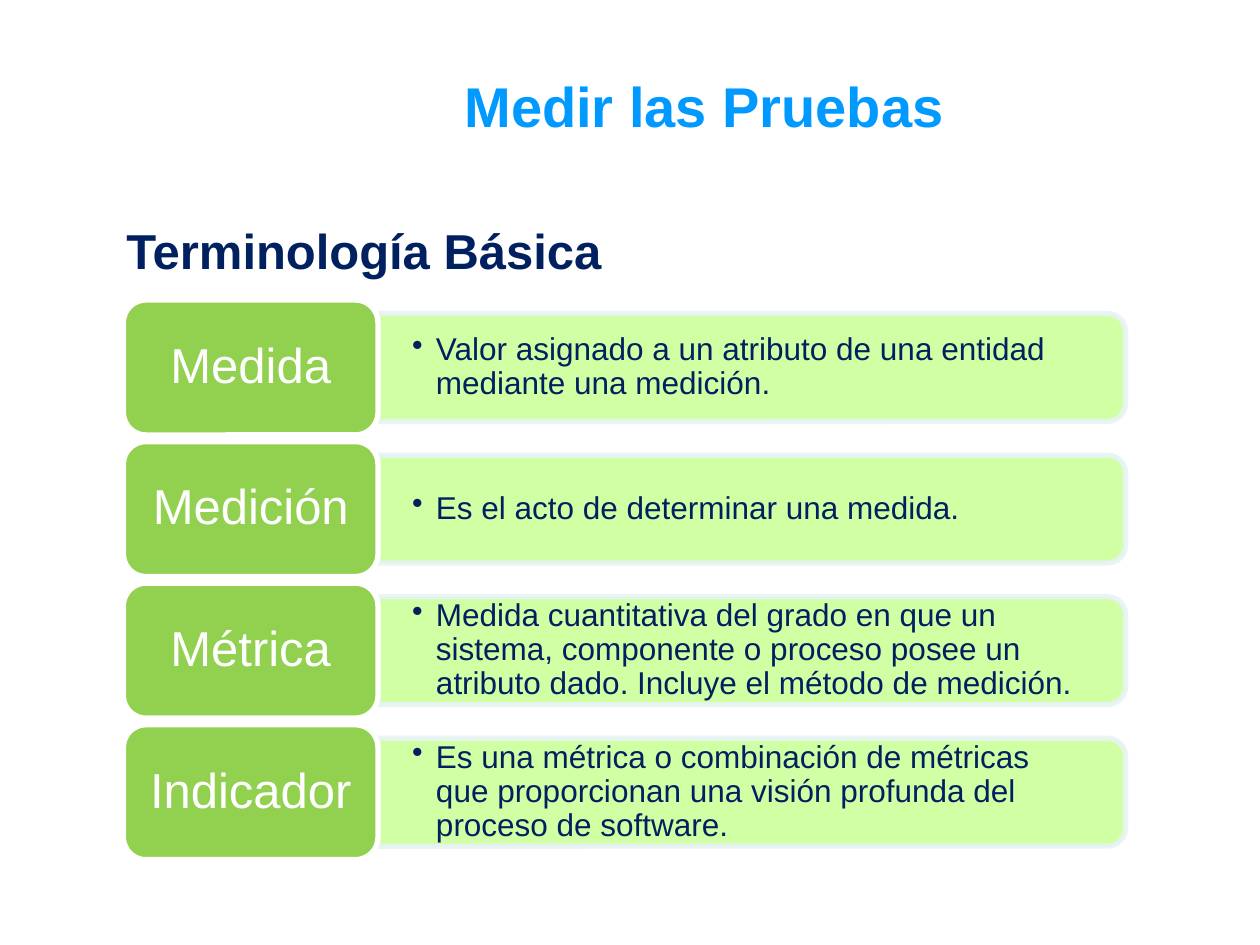
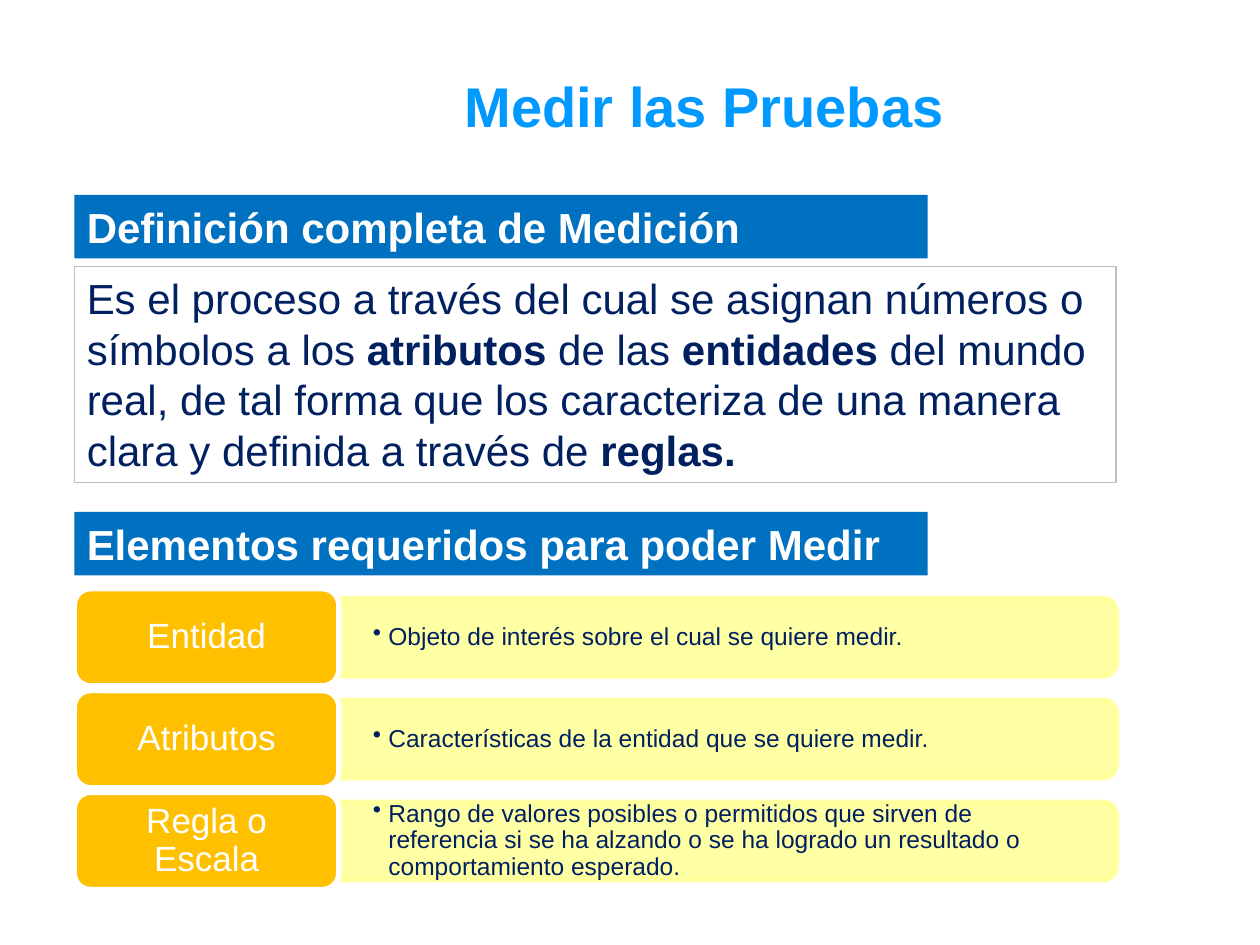
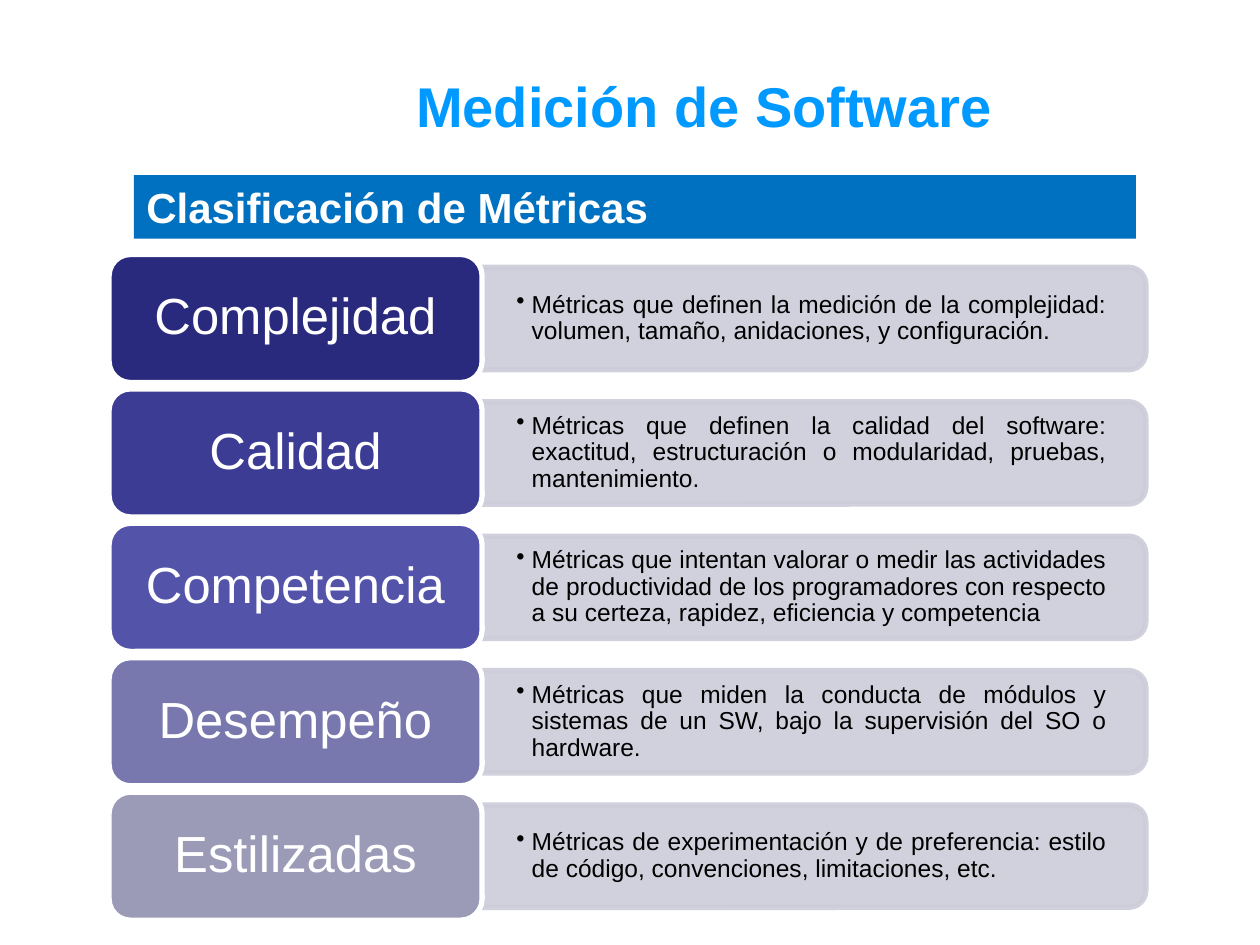
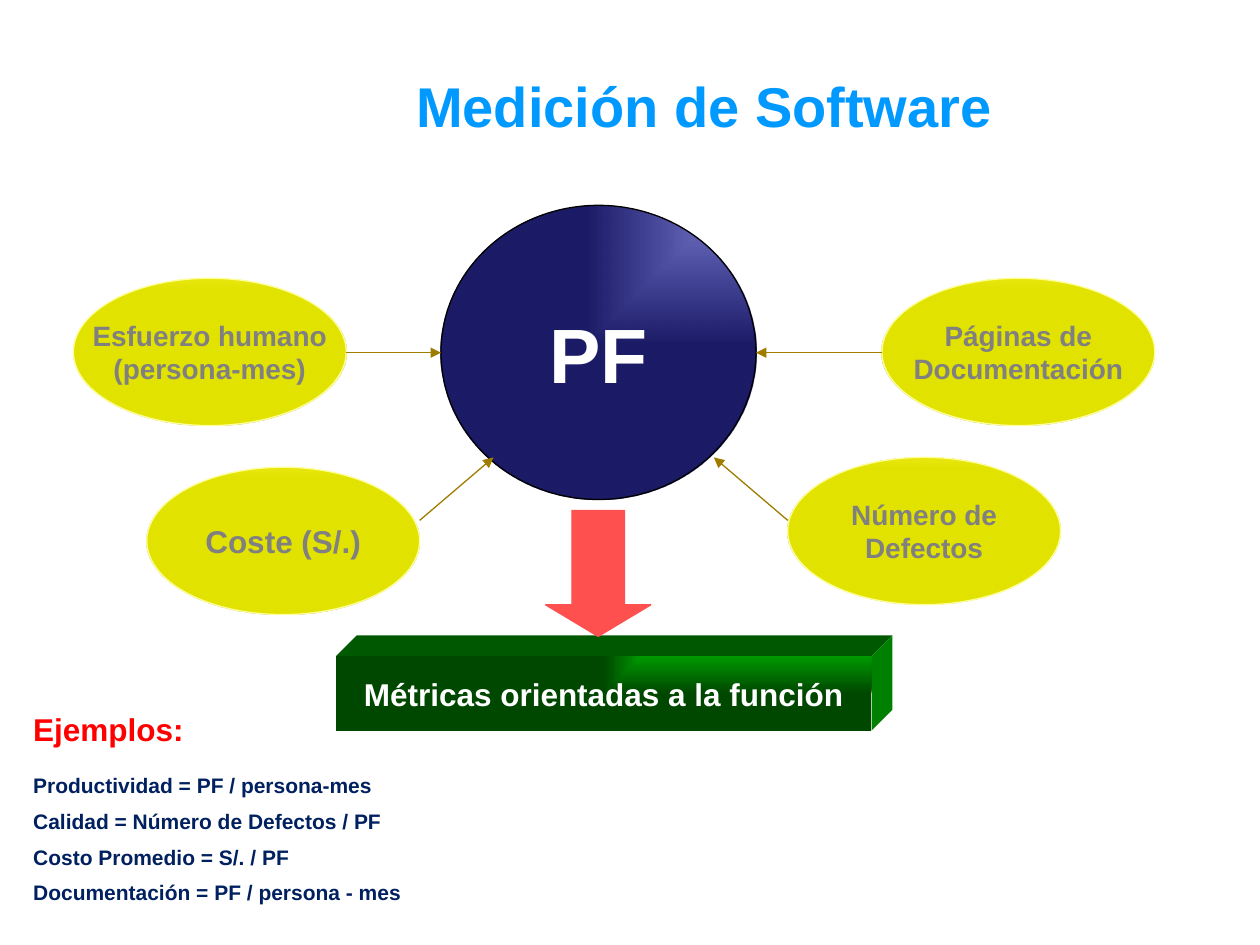
from lxml.etree import SubElement
from pptx import Presentation
from pptx.dml.color import RGBColor
from pptx.enum.shapes import MSO_CONNECTOR, MSO_SHAPE
from pptx.enum.text import MSO_ANCHOR, PP_ALIGN
from pptx.oxml import parse_xml
from pptx.oxml.ns import nsdecls, qn
from pptx.util import Cm, Pt

FONT = "Arial"
HUES = {
    "title": "0099FF", "navy": "002060", "white": "FFFFFF", "black": "000000",
    "band": "0070C0", "edge": "BFBFBF", "red": "FF0000", "gray": "808080",
    "green": "92D050", "lime": "CCFF99", "ice": "E7F3F4",
    "gold": "FFC000", "cream": "FFFF99", "mist": "CDCDDA",
    "tab1": "29297D", "tab2": "3C3C95", "tab3": "5353A9",
    "tab4": "7878AF", "tab5": "9B9BB8",
    "arrow": "9E7C00", "coral": "FF5050",
    "roof": "005900", "side": "008000",
}
# Gradient stops: position, colour, opacity (all in percent but the colour)
BLUE = [(0, "000099", 51), (100, "000055", 89)]
SUN = [(0, "FFFF00", 56), (100, "E3E300", 100)]
LEAF = [(0, "009900", 100), (100, "004700", 100)]


def rgb(name):
    return RGBColor.from_string(HUES[name])


def text(shape, paras, size=18, hue="navy", bold=False, align=PP_ALIGN.LEFT,
         anchor=MSO_ANCHOR.TOP, pad=(0.25, 0.13), wrap=True, lead=None,
         before=None, hang=0):
    """Fill a shape with paragraphs; each is a string or (string, bold) runs."""
    frame = shape.text_frame
    frame.word_wrap = wrap
    frame.vertical_anchor = anchor
    frame.margin_left = frame.margin_right = Cm(pad[0])
    frame.margin_top = frame.margin_bottom = Cm(pad[1])
    for i, runs in enumerate([paras] if isinstance(paras, str) else paras):
        para = frame.add_paragraph() if i else frame.paragraphs[0]
        para.alignment = align
        if lead:
            para.line_spacing = lead
        if before:
            para.space_before = Pt(before)
        if hang:
            props = para._p.get_or_add_pPr()
            props.set("marL", str(Cm(hang)))
            props.set("indent", str(-Cm(hang)))
            SubElement(props, qn("a:buChar")).set("char", "•")
        for words, strong in [(runs, bold)] if isinstance(runs, str) else runs:
            run = para.add_run()
            run.text = words
            run.font.name, run.font.size = FONT, Pt(size)
            run.font.bold = strong
            run.font.color.rgb = rgb(hue)
    return shape


def label(slide, box, paras, **form):
    return text(slide.shapes.add_textbox(*map(Cm, box)), paras, **form)


def paint(shape, fill=None, line=None, width=0.75):
    shape.shadow.inherit = False
    if fill:
        shape.fill.solid()
        shape.fill.fore_color.rgb = rgb(fill)
    else:
        shape.fill.background()
    if line:
        shape.line.color.rgb = rgb(line)
        shape.line.width = Pt(width)
    else:
        shape.line.fill.background()
    return shape


def form(slide, kind, box, **look):
    return paint(slide.shapes.add_shape(kind, *map(Cm, box)), **look)


def fade(shape):
    """Make the fill and line of a shape 90 % opaque."""
    for tint in shape._element.spPr.iter(qn("a:srgbClr")):
        SubElement(tint, qn("a:alpha")).set("val", "90000")


def shade(shape, stops):
    """Give a shape a gradient that spreads from its top right corner."""
    marks = "".join(
        f'<a:gs pos="{at * 1000}"><a:srgbClr val="{tint}">'
        f'<a:alpha val="{alpha * 1000}"/></a:srgbClr></a:gs>'
        for at, tint, alpha in stops)
    grad = parse_xml(
        f'<a:gradFill {nsdecls("a")} rotWithShape="1"><a:gsLst>{marks}</a:gsLst>'
        '<a:path path="rect"><a:fillToRect l="100000" b="100000"/></a:path>'
        '</a:gradFill>')
    props = shape._element.spPr
    props.replace(props.find(qn("a:solidFill")), grad)
    return shape


def arrow(slide, start, end):
    link = slide.shapes.add_connector(
        MSO_CONNECTOR.STRAIGHT, *map(Cm, start + end))
    link.line.color.rgb = rgb("arrow")
    link.line.width = Pt(0.75)
    SubElement(link.line._ln, qn("a:tailEnd")).set("type", "triangle")
    SubElement(link._element.spPr, qn("a:effectLst"))


def facet(slide, points, hue):
    first, *rest = [(Cm(x), Cm(y)) for x, y in points]
    pen = slide.shapes.build_freeform(*first)
    pen.add_line_segments(rest)
    paint(pen.convert_to_shape(), hue)


def start(deck, title):
    slide = deck.slides.add_slide(deck.slide_layouts[6])
    label(slide, (5.1, 1.32, 18.2, 1.62), title, size=32, hue="title",
          bold=True, align=PP_ALIGN.CENTER)
    return slide


def band(slide, left, top, width, words):
    text(form(slide, MSO_SHAPE.RECTANGLE, (left, top, width, 1.28), fill="band"),
         words, size=24, hue="white", bold=True)


def rows(slide, box, tab, items, tints, fill, edge, big, small, hang,
         hue="navy", align=PP_ALIGN.LEFT):
    """Stack rows of a tab and a bar; gaps are 5 % of a tab's height."""
    left, top, width, height = box
    count = len(items)
    tall = height / (count + 0.05 * (count - 1))
    thick, long, inset = 0.8 * tall, width - tab, 0.05 * tall
    for i, (name, words) in enumerate(items):
        y = top + 1.05 * tall * i
        mid = y + tall / 2
        # Bar, turned so that its round end is on the right
        bar = form(slide, MSO_SHAPE.ROUND_2_SAME_RECTANGLE,
                   (left + tab + (long - thick) / 2, mid - long / 2, thick, long),
                   fill=fill, line=edge, width=3)
        bar.rotation = 90
        fade(bar)
        label(slide, (left + tab, mid - 0.45 * thick, long - 0.1, 0.9 * thick),
              words, size=small, hue=hue, align=align, lead=0.9, hang=hang,
              anchor=MSO_ANCHOR.MIDDLE, pad=(0.69, 0.36))
        # Tab
        form(slide, MSO_SHAPE.ROUNDED_RECTANGLE, (left, y, tab, tall),
             fill=tints[i % len(tints)], line="white", width=3)
        label(slide, (left + inset, y + inset, tab - 2 * inset, tall - 2 * inset),
              name, size=big, hue="white", align=PP_ALIGN.CENTER, lead=0.9,
              anchor=MSO_ANCHOR.MIDDLE, pad=(0.011 * big, 0.0055 * big))


def terms(deck):
    slide = start(deck, "Medir las Pruebas")
    rows(slide, (2.49, 6.05, 20.2, 11.28), 5.13, [
        ("Medida", "Valor asignado a un atributo de una entidad mediante una medición."),
        ("Medición", "Es el acto de determinar una medida."),
        ("Métrica", "Medida cuantitativa del grado en que un sistema, componente o "
                    "proceso posee un atributo dado. Incluye el método de medición."),
        ("Indicador", "Es una métrica o combinación de métricas que proporcionan "
                      "una visión profunda del proceso de software."),
    ], ["green"], "lime", "ice", 28, 18, 0.48)
    label(slide, (2.3, 4.32, 20, 1.45), "Terminología Básica", size=28, bold=True)


def needs(deck):
    slide = start(deck, "Medir las Pruebas")
    # Definition
    note = form(slide, MSO_SHAPE.RECTANGLE, (1.5, 5.37, 21, 4.36), line="edge")
    text(note, [[
        ("Es el proceso a través del cual se asignan números o símbolos a los ", False),
        ("atributos", True), (" de las ", False), ("entidades", True),
        (" del mundo real, de tal forma que los caracteriza de una manera "
         "clara y definida a través de ", False), ("reglas.", True)]], size=24)
    band(slide, 1.5, 3.93, 17.2, "Definición completa de Medición")
    # Elements
    band(slide, 1.5, 10.32, 17.2, "Elementos requeridos para poder Medir")
    rows(slide, (1.5, 11.87, 21, 6.06), 5.33, [
        ("Entidad", "Objeto de interés sobre el cual se quiere medir."),
        ("Atributos", "Características de la entidad que se quiere medir."),
        ("Regla o Escala", "Rango de valores posibles o permitidos que sirven de "
                           "referencia si se ha alzando o se ha logrado un resultado "
                           "o comportamiento esperado."),
    ], ["gold"], "cream", "cream", 20, 14, 0.31)


def kinds(deck):
    slide = start(deck, "Medición de Software")
    band(slide, 2.7, 3.53, 20.2, "Clasificación de Métricas")
    rows(slide, (2.2, 5.13, 20.9, 13.42), 7.52, [
        ("Complejidad", "Métricas que definen la medición de la complejidad: "
                        "volumen, tamaño, anidaciones, y configuración."),
        ("Calidad", "Métricas que definen la calidad del software: exactitud, "
                    "estructuración o modularidad, pruebas, mantenimiento."),
        ("Competencia", "Métricas que intentan valorar o medir las actividades de "
                        "productividad de los programadores con respecto a su "
                        "certeza, rapidez, eficiencia y competencia"),
        ("Desempeño", "Métricas que miden la conducta de módulos y sistemas de un "
                      "SW, bajo la supervisión del SO o hardware."),
        ("Estilizadas", "Métricas de experimentación y de preferencia: estilo de "
                        "código, convenciones, limitaciones, etc."),
    ], ["tab1", "tab2", "tab3", "tab4", "tab5"], "mist", "mist", 29, 14, 0.31,
        hue="black", align=PP_ALIGN.JUSTIFY)


def block(slide, box, deep, words):
    """Draw a solid bar with a roof and a right side of the given depth."""
    left, top, width, height = box
    right, base = left + width, top + height
    facet(slide, [(left, top), (left + deep, top - deep),
                  (right + deep, top - deep), (right, top)], "roof")
    facet(slide, [(right, top), (right + deep, top - deep),
                  (right + deep, base - deep), (right, base)], "side")
    front = shade(form(slide, MSO_SHAPE.RECTANGLE, box, fill="roof"), LEAF)
    text(front, words, hue="white", bold=True, align=PP_ALIGN.CENTER,
         anchor=MSO_ANCHOR.MIDDLE, wrap=False)


def points(deck):
    slide = start(deck, "Medición de Software")
    mid = {"bold": True, "align": PP_ALIGN.CENTER,
           "anchor": MSO_ANCHOR.MIDDLE, "wrap": False}
    # Hub and its sources
    hub = form(slide, MSO_SHAPE.OVAL, (8.89, 4.14, 6.35, 5.93),
               fill="navy", line="black")
    text(shade(hub, BLUE), "PF", size=44, hue="white", **mid)
    for left, top, size, words in [
            (17.78, 5.61, 16, ["Páginas de", "Documentación"]),
            (15.88, 9.22, 16, ["Número de", "Defectos"]),
            (1.48, 5.61, 16, ["Esfuerzo humano", "(persona-mes)"]),
            (2.96, 9.42, 18, "Coste (S/.)")]:
        oval = form(slide, MSO_SHAPE.OVAL, (left, top, 5.5, 2.97),
                    fill="gold", line="cream")
        text(shade(oval, SUN), words, size=size, hue="gray", **mid)
    for tail, head in [((6.98, 7.11), (8.89, 7.11)), ((8.46, 10.49), (9.95, 9.22)),
                       ((17.78, 7.11), (15.24, 7.11)), ((15.88, 10.49), (14.39, 9.22))]:
        arrow(slide, tail, head)
    # Result
    block(slide, (6.77, 13.23, 10.8, 1.5), 0.42, "Métricas orientadas a la función")
    down = form(slide, MSO_SHAPE.DOWN_ARROW, (11, 10.29, 2.12, 2.54),
                fill="coral", line="coral")
    down.adjustments[0], down.adjustments[1] = 0.5, 0.3
    # Examples
    label(slide, (0.42, 15.45, 12.06, 3.07), [
        "Productividad = PF / persona-mes", "Calidad = Número de Defectos / PF",
        "Costo Promedio = S/. / PF", "Documentación = PF / persona - mes",
    ], size=12, bold=True, before=6)
    label(slide, (0.42, 14.18, 4.67, 1.02), "Ejemplos:", hue="red", bold=True)


def main():
    deck = Presentation()
    deck.slide_width, deck.slide_height = Cm(25.4), Cm(19.05)
    for build in (terms, needs, kinds, points):
        build(deck)
    deck.save("out.pptx")


if __name__ == "__main__":
    main()
